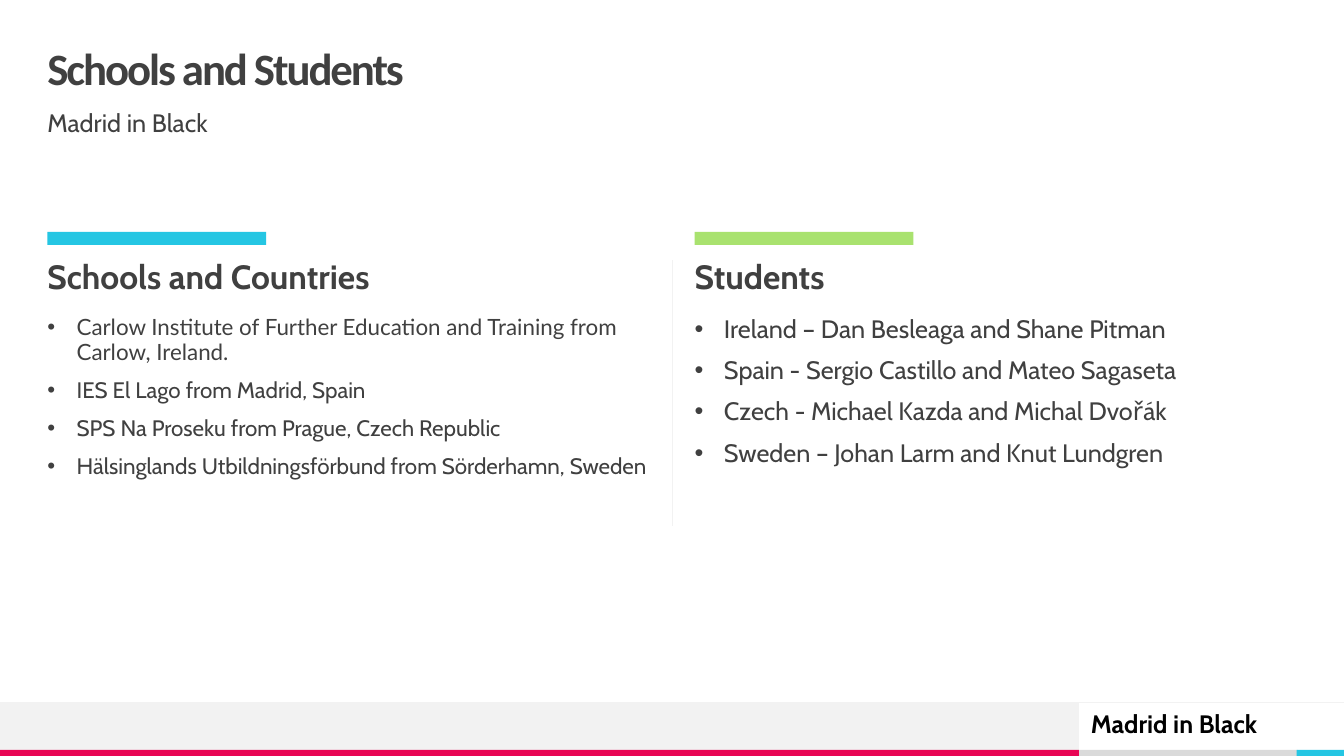
"""Build the Schools and Students slide of the Madrid in Black deck."""
from lxml.etree import SubElement
from pptx import Presentation
from pptx.dml.color import RGBColor
from pptx.enum.shapes import MSO_CONNECTOR, MSO_SHAPE
from pptx.enum.text import MSO_ANCHOR, MSO_AUTO_SIZE, PP_ALIGN
from pptx.oxml.ns import qn
from pptx.util import Inches, Pt

COLORS = {
    "text": "404040", "black": "000000", "pale": "F2F2F2", "grey": "DADADA",
    "pink": "E80554", "blue": "25C6E3", "green": "A9E26F",
}
FRAME_FORMAT = {
    "margin_left": 0, "margin_top": 0, "margin_right": 0, "margin_bottom": 0,
    "word_wrap": True, "auto_size": MSO_AUTO_SIZE.NONE,
    "vertical_anchor": MSO_ANCHOR.TOP,
}
LEFT, FULL_WIDTH, COLUMN_WIDTH = 0.47, 12.4, 5.98


def write(frame, lines, size, fonts=("Cabin",), bold=False, color="text",
          bulleted=False, spacing=0.9, **frame_changes):
    """Fill a text frame with one paragraph per line; the last font repeats."""
    for name, value in {**FRAME_FORMAT, **frame_changes}.items():
        setattr(frame, name, value)
    for index, line in enumerate(lines):
        paragraph = frame.paragraphs[0] if index == 0 else frame.add_paragraph()
        if bulleted:
            properties = paragraph._p.get_or_add_pPr()
            properties.set("marL", str(Inches(0.29)))
            properties.set("indent", str(Inches(-0.29)))
            SubElement(properties, qn("a:buFont"), typeface="Arial")
            SubElement(properties, qn("a:buChar"), char="•")
        paragraph.alignment = PP_ALIGN.LEFT
        paragraph.line_spacing = spacing
        paragraph.space_before = Pt(10 if index else 0)
        run = paragraph.add_run()
        run.text = line
        font_format = {"name": fonts[min(index, len(fonts) - 1)],
                       "size": Pt(size), "bold": bold}
        for name, value in font_format.items():
            setattr(run.font, name, value)
        run.font.color.rgb = RGBColor.from_string(COLORS[color])


presentation = Presentation()
presentation.slide_width = Inches(13.33)
presentation.slide_height = Inches(7.5)
slide = presentation.slides.add_slide(presentation.slide_layouts[5])
shapes = slide.shapes

bars = [
    (10.7, 7.44, 2.17, 0.06, "grey"),
    (0, 6.97, 10.7, 0.47, "pale"),
    (0, 7.44, 10.7, 0.06, "pink"),
    (12.86, 7.44, 0.47, 0.06, "blue"),
    (LEFT, 2.3, 2.17, 0.13, "blue"),
    (6.89, 2.3, 2.17, 0.13, "green"),
]
for *box, color in bars:
    bar = shapes.add_shape(MSO_SHAPE.RECTANGLE, *map(Inches, box))
    bar.shadow.inherit = False
    bar.fill.solid()
    bar.fill.fore_color.rgb = RGBColor.from_string(COLORS[color])
    bar.line.fill.background()

for ends in [(13.33, 6.97, 0, 6.97), (6.67, 2.58, 6.67, 5.22)]:
    rule = shapes.add_connector(MSO_CONNECTOR.STRAIGHT, *map(Inches, ends))
    rule.line.color.rgb = RGBColor.from_string(COLORS["pale"])
    rule.line.width = Pt(0.5)
    SubElement(rule._element.spPr, qn("a:effectLst"))

title = shapes.title
title_place = {"left": LEFT, "top": 0.47, "width": FULL_WIDTH, "height": 0.47}
for name, value in title_place.items():
    setattr(title, name, Inches(value))
write(title.text_frame, ["Schools and Students"], 32, ("Calibri",), bold=True,
      vertical_anchor=MSO_ANCHOR.MIDDLE)
title.text_frame.paragraphs[0].runs[0].font._element.set("spc", "-150")

subtitle = shapes.add_textbox(*map(Inches, (LEFT, 1.1, FULL_WIDTH, 0.39)))
write(subtitle.text_frame, ["Madrid in Black"], 18)

columns = [
    (LEFT, "Schools and Countries", 16, ("Lato", "Cabin"), [
        "Carlow Institute of Further Education and Training from Carlow, Ireland.",
        "IES El Lago from Madrid, Spain",
        "SPS Na Proseku from Prague, Czech Republic",
        "Hälsinglands Utbildningsförbund from Sörderhamn, Sweden",
    ]),
    (6.89, "Students", 18, ("Cabin",), [
        "Ireland – Dan Besleaga and Shane Pitman",
        "Spain - Sergio Castillo and Mateo Sagaseta",
        "Czech - Michael Kazda and Michal Dvořák",
        "Sweden – Johan Larm and Knut Lundgren",
    ]),
]
for left, heading, size, fonts, entries in columns:
    heading_box = shapes.add_textbox(*map(Inches, (left, 2.58, COLUMN_WIDTH, 0.39)))
    write(heading_box.text_frame, [heading], 24, bold=True)
    entries_box = shapes.add_textbox(*map(Inches, (left, 3.14, COLUMN_WIDTH, 3.69)))
    write(entries_box.text_frame, entries, size, fonts, bulleted=True)

footer = shapes.add_textbox(*map(Inches, (10.72, 6.98, 2.62, 0.4)))
write(footer.text_frame, ["Madrid in Black"], 18, bold=True, color="black",
      spacing=1.0, margin_left=Inches(0.1), margin_right=Inches(0.1),
      margin_top=Inches(0.05), margin_bottom=Inches(0.05),
      auto_size=MSO_AUTO_SIZE.SHAPE_TO_FIT_TEXT)

presentation.save("out.pptx")
